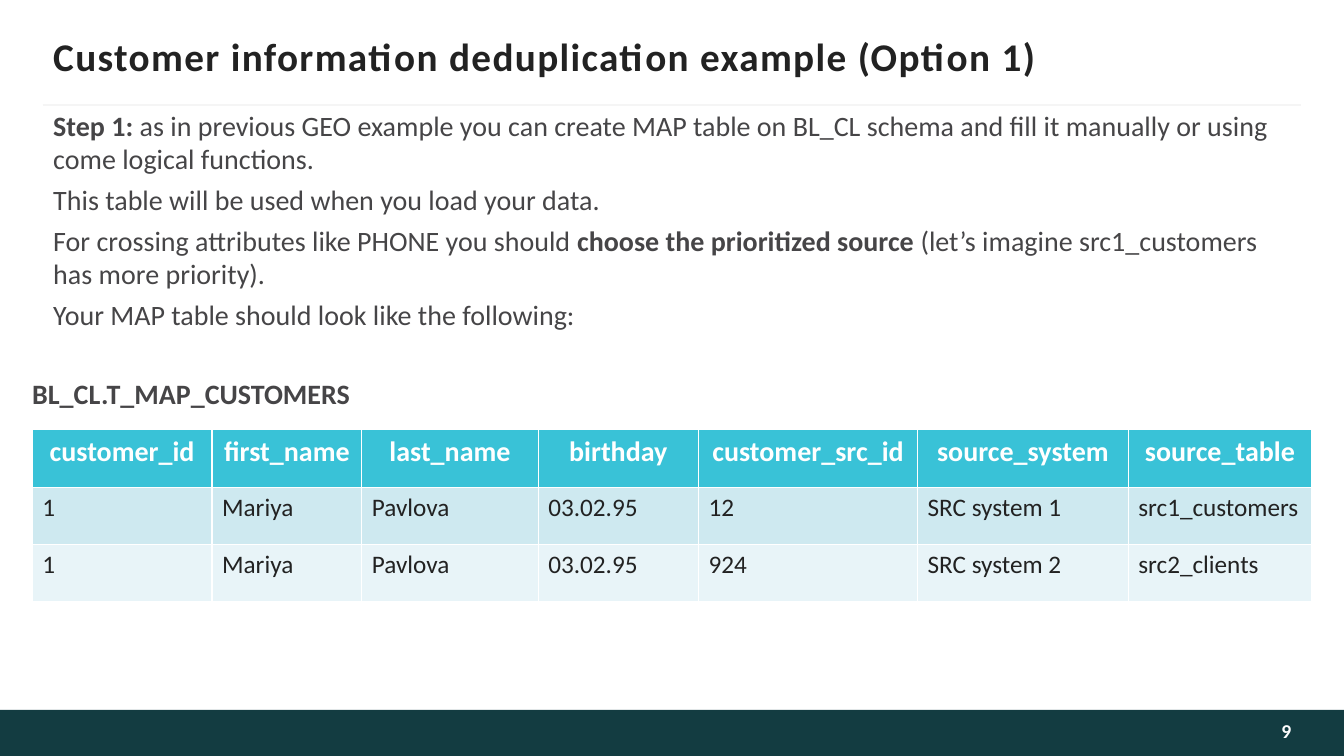
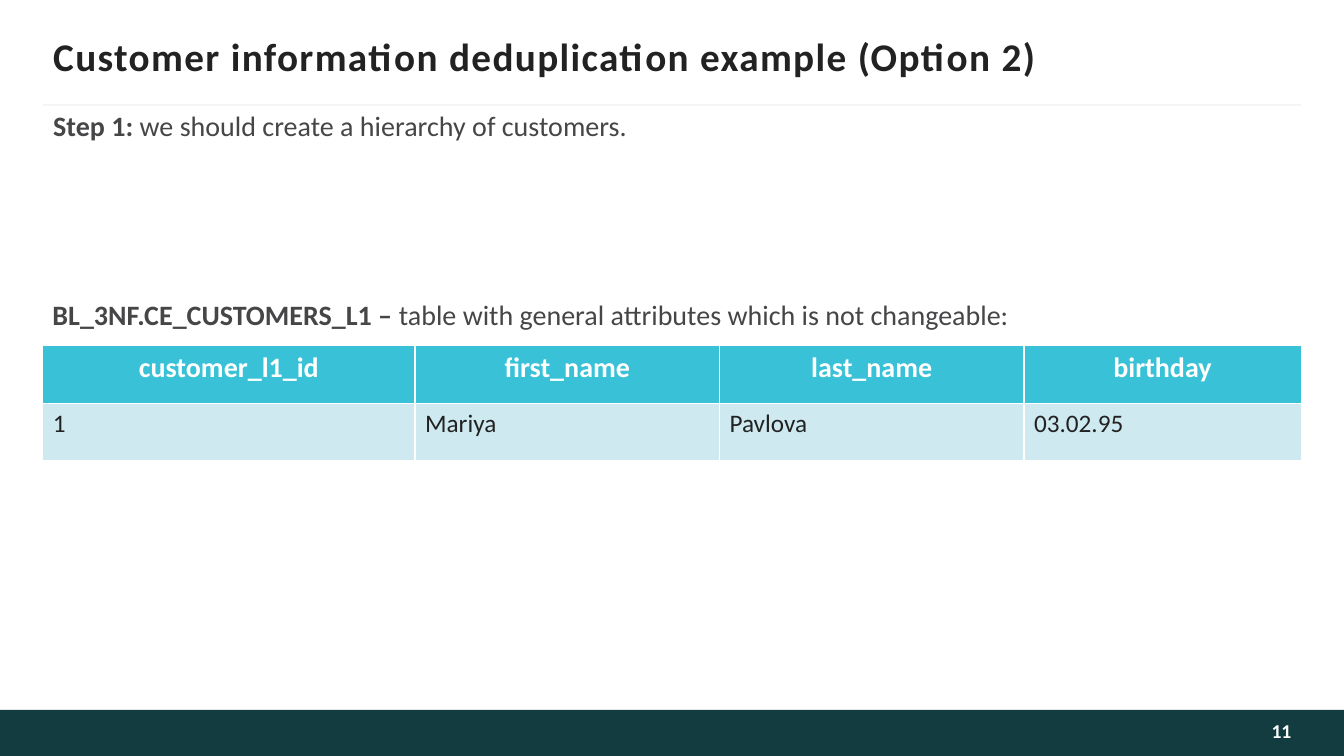
"""Build two slides on customer information deduplication."""
import pptx
import pptx.dml.color
import pptx.enum.shapes
import pptx.enum.text
import pptx.oxml.ns
import pptx.util
from lxml import etree

Pt = pptx.util.Pt
RGB = pptx.dml.color.RGBColor
ALIGN = pptx.enum.text.PP_ALIGN
ANCHOR = pptx.enum.text.MSO_ANCHOR

FONT = "Calibri"
INK = RGB(0x22, 0x22, 0x22)
GREY = RGB(0x46, 0x45, 0x47)
RULE = RGB(0xF5, 0xF5, 0xF5)
BAND = RGB(0x13, 0x3C, 0x41)
NUMBER = RGB(0xFE, 0xFE, 0xFE)
WHITE = RGB(0xFF, 0xFF, 0xFF)
HEADER = RGB(0x39, 0xC2, 0xD7)
STRIPES = (RGB(0xCE, 0xE9, 0xF0), RGB(0xE8, 0xF4, 0xF8))

WIDTH, HEIGHT = 960, 540
BAND_HEIGHT = 33
MARGIN = 38
ROW_HEIGHT = 41

SLIDES = [
    {
        "title": "Customer information deduplication example (Option 1)",
        "number": "9",
        "body": [
            [("Step 1: ", True),
             ("as in previous GEO example you can create MAP table on BL_CL schema "
              "and fill it manually or using come logical functions.", False)],
            [("This table will be used when you load your data.", False)],
            [("For crossing attributes like PHONE you should ", False),
             ("choose the prioritized source ", True),
             ("(let’s imagine src1_customers has more priority).", False)],
            [("Your MAP table should look like the following:", False)],
        ],
        "caption": [[("BL_CL.T_MAP_CUSTOMERS", True)]],
        "caption_box": (23, 270, 433, BAND_HEIGHT),
        "table_at": (23, 307),
        "columns": (128.5, 107, 126, 114.5, 156.5, 150.5, 131),
        "rows": [
            ("customer_id", "first_name", "last_name", "birthday",
             "customer_src_id", "source_system", "source_table"),
            ("1", "Mariya", "Pavlova", "03.02.95", "12", "SRC system 1", "src1_customers"),
            ("1", "Mariya", "Pavlova", "03.02.95", "924", "SRC system 2", "src2_clients"),
        ],
    },
    {
        "title": "Customer information deduplication example (Option 2)",
        "number": "11",
        "body": [
            [("Step 1: ", True), ("we should create a hierarchy of customers.", False)],
        ],
        "caption": [
            [("BL_3NF.CE_CUSTOMERS_L1 – ", True),
             ("table with general attributes which is not changeable:", False)],
        ],
        "caption_box": (37.5, 214, 803, BAND_HEIGHT),
        "table_at": (30.5, 247),
        "columns": (266, 217.5, 217.5, 198),
        "rows": [
            ("customer_l1_id", "first_name", "last_name", "birthday"),
            ("1", "Mariya", "Pavlova", "03.02.95"),
        ],
    },
]


def style(r, size, color, bold):
    r.font.name = FONT
    r.font.size = Pt(size)
    r.font.color.rgb = color
    r.font.bold = bold


def set_frame(tf, insets, wrap, anchor):
    tf.auto_size = pptx.enum.text.MSO_AUTO_SIZE.NONE
    tf.word_wrap = wrap
    tf.vertical_anchor = anchor
    tf.margin_left, tf.margin_top, tf.margin_right, tf.margin_bottom = map(Pt, insets)


def set_line(p, text, size, color, bold, align):
    p.text = text
    p.alignment = align
    style(p.runs[0], size, color, bold)


def add_title(slide, text):
    sp = slide.shapes.title
    sp.left, sp.top, sp.width, sp.height = map(Pt, (MARGIN, 24, 885, 32))
    set_frame(sp.text_frame, (0, 3.6, 0, 3.6), False, ANCHOR.MIDDLE)
    p = sp.text_frame.paragraphs[0]
    set_line(p, text, 28, INK, True, ALIGN.LEFT)
    p.runs[0].font._element.set("spc", "100")


def add_frame(slide, number):
    top = HEIGHT - BAND_HEIGHT
    band = slide.shapes.add_shape(pptx.enum.shapes.MSO_SHAPE.RECTANGLE,
                                  *map(Pt, (0, top, WIDTH, BAND_HEIGHT)))
    band.shadow.inherit = False
    band.fill.solid()
    band.fill.fore_color.rgb = BAND
    band.line.fill.background()

    rule = slide.shapes.add_connector(pptx.enum.shapes.MSO_CONNECTOR.STRAIGHT,
                                      *map(Pt, (30.5, 75, 929.5, 75)))
    rule.line.color.rgb = RULE
    rule.line.width = Pt(1.5)
    etree.SubElement(rule._element.spPr, pptx.oxml.ns.qn("a:effectLst"))

    sp = slide.shapes.add_textbox(*map(Pt, (778.5, top, 144, BAND_HEIGHT)))
    set_frame(sp.text_frame, (7.2, 3.6, 0, 6.5), False, ANCHOR.MIDDLE)
    set_line(sp.text_frame.paragraphs[0], number, 14, NUMBER, True, ALIGN.RIGHT)


def add_text(slide, box, paragraphs):
    tf = slide.shapes.add_textbox(*map(Pt, box)).text_frame
    set_frame(tf, (0, 0, 0, 0), True, ANCHOR.TOP)
    for i, runs in enumerate(paragraphs):
        p = tf.add_paragraph() if i else tf.paragraphs[0]
        p.space_before, p.space_after = Pt(2.6), Pt(3)
        p.line_spacing = 0.98
        for text, bold in runs:
            r = p.add_run()
            r.text = text
            style(r, 20, GREY, bold)


def add_table(slide, at, columns, rows):
    size = (sum(columns), ROW_HEIGHT * len(rows))
    table = slide.shapes.add_table(len(rows), len(columns), *map(Pt, at + size)).table
    for column, width in zip(table.columns, columns):
        column.width = Pt(width)
    for i, values in enumerate(rows):
        table.rows[i].height = Pt(ROW_HEIGHT)
        for j, value in enumerate(values):
            cell = table.cell(i, j)
            cell.fill.solid()
            p = cell.text_frame.paragraphs[0]
            if i == 0:
                cell.fill.fore_color.rgb = HEADER
                set_line(p, value, 20, WHITE, True, ALIGN.CENTER)
            else:
                cell.fill.fore_color.rgb = STRIPES[(i - 1) % 2]
                set_line(p, value, 18, INK, False, ALIGN.LEFT)


def main():
    prs = pptx.Presentation()
    prs.slide_width, prs.slide_height = Pt(WIDTH), Pt(HEIGHT)
    for content in SLIDES:
        slide = prs.slides.add_slide(prs.slide_layouts[5])
        add_frame(slide, content["number"])
        add_title(slide, content["title"])
        add_text(slide, (MARGIN, 79, 871, BAND_HEIGHT), content["body"])
        add_text(slide, content["caption_box"], content["caption"])
        add_table(slide, content["table_at"], content["columns"], content["rows"])
    prs.save("out.pptx")


if __name__ == "__main__":
    main()
